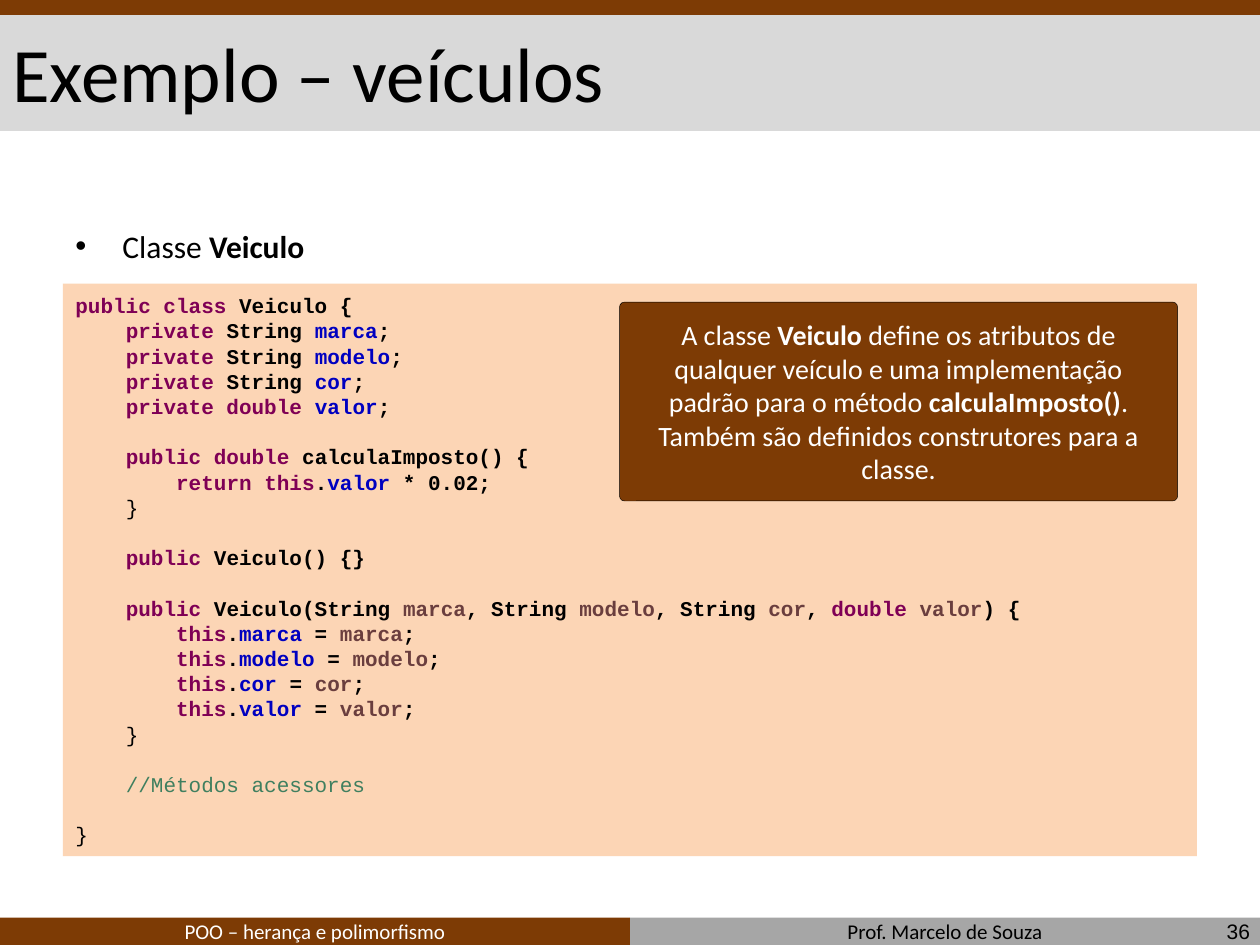
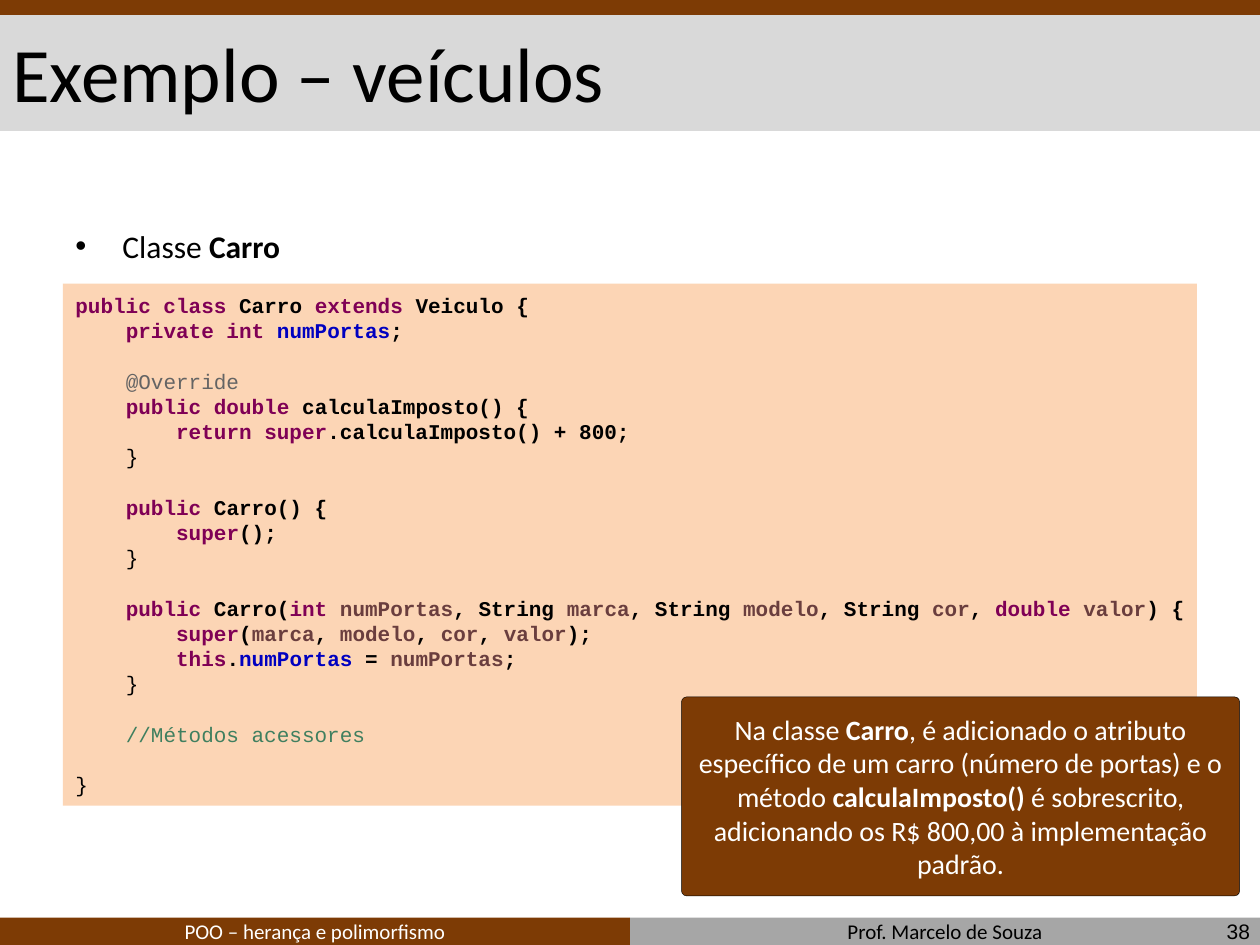
"""Builds two lecture slides that present the Java classes Veiculo and Carro."""
import pptx
import pptx.dml.color
import pptx.enum.shapes
import pptx.enum.text
import pptx.oxml
import pptx.oxml.ns
import pptx.util
from pptx.util import Cm

RGBColor = pptx.dml.color.RGBColor
SHAPES = pptx.enum.shapes.MSO_SHAPE
ALIGN = pptx.enum.text.PP_ALIGN
ANCHOR = pptx.enum.text.MSO_ANCHOR

BROWN = RGBColor(0x7D, 0x3B, 0x05)
LIGHT_GRAY = RGBColor(0xD9, 0xD9, 0xD9)
MID_GRAY = RGBColor(0xA6, 0xA6, 0xA6)
PEACH = RGBColor(0xFC, 0xD5, 0xB5)
BLACK = RGBColor(0, 0, 0)
WHITE = RGBColor(0xFF, 0xFF, 0xFF)
KEYWORD = RGBColor(0x7F, 0x00, 0x55)
FIELD = RGBColor(0x00, 0x00, 0xC0)
PARAMETER = RGBColor(0x6A, 0x3E, 0x3E)
COMMENT = RGBColor(0x3F, 0x7F, 0x5F)
ANNOTATION = RGBColor(0x64, 0x64, 0x64)

PAGE_WIDTH, PAGE_HEIGHT = 25.4, 19.05
HALF_WIDTH = PAGE_WIDTH / 2
CODE_CHAR_WIDTH = 7.2
CODE_LINE_HEIGHT = 14.4

EMPHASIS = {"*": {"bold": True}}
SYNTAX = {
    "#": {"color": KEYWORD},
    "_": {"color": FIELD},
    "~": {"color": PARAMETER},
    "%": {"color": COMMENT, "bold": False},
    "^": {"color": ANNOTATION, "bold": False},
    "!": {"bold": False},
}

VEICULO_CODE = """\
#public class# Veiculo {
    #private# String _marca_;
    #private# String _modelo_;
    #private# String _cor_;
    #private double# _valor_;

    #public double# calculaImposto() {
        #return this#._valor_ * 0.02;
    !}!

    #public# Veiculo() {}

    #public# Veiculo(String ~marca~, String ~modelo~, String ~cor~, #double# ~valor~) {
        #this#._marca_ = ~marca~;
        #this#._modelo_ = ~modelo~;
        #this#._cor_ = ~cor~;
        #this#._valor_ = ~valor~;
    !}!

    %//Métodos acessores%

!}!"""

CARRO_CODE = """\
#public class# Carro #extends# Veiculo {
    #private int# _numPortas_;

    ^@Override^
    #public double# calculaImposto() {
        #return super#.calculaImposto() + 800;
    !}!

    #public# Carro() {
        #super#();
    !}!

    #public# Carro(#int# ~numPortas~, String ~marca~, String ~modelo~, String ~cor~, #double# ~valor~) {
        #super#(~marca~, ~modelo~, ~cor~, ~valor~);
        #this#._numPortas_ = ~numPortas~;
    !}!

    %//Métodos acessores%

!}!"""

VEICULO_NOTE = (
    "A classe *Veiculo* define os atributos de qualquer veículo e uma "
    "implementação padrão para o método *calculaImposto()*. Também são "
    "definidos construtores para a classe."
)
CARRO_NOTE = (
    "Na classe *Carro*, é adicionado o atributo específico de um carro "
    "(número de portas) e o método *calculaImposto()* é sobrescrito, "
    "adicionando os R$ 800,00 à implementação padrão."
)


def split_runs(line, styles):
    """Yield (text, style) pairs of a line whose styled parts sit between markers."""
    active, piece = None, ""
    for char in line:
        if char in styles:
            if piece:
                yield piece, styles.get(active, {})
            active, piece = (None if active == char else char), ""
        else:
            piece += char
    if piece:
        yield piece, styles.get(active, {})


def write_text(shape, text, *, size, font="Calibri", color=BLACK, bold=False,
               align=ALIGN.LEFT, anchor=ANCHOR.MIDDLE, styles=EMPHASIS):
    """Fill a shape with text; leading spaces become indents and empty lines become gaps."""
    frame = shape.text_frame
    frame.word_wrap = True
    frame.vertical_anchor = anchor
    paragraph, gap = None, 0
    for line in text.split("\n"):
        content = line.lstrip()
        if not content:
            gap += CODE_LINE_HEIGHT
            continue
        paragraph = frame.add_paragraph() if paragraph else frame.paragraphs[0]
        paragraph.alignment = align
        if gap:
            paragraph.space_before = pptx.util.Pt(gap)
        gap = 0
        indent = pptx.util.Pt((len(line) - len(content)) * CODE_CHAR_WIDTH)
        if indent:
            paragraph._p.get_or_add_pPr().set("marL", str(indent))
        for piece, style in split_runs(content, styles):
            run = paragraph.add_run()
            run.text = piece
            run.font.name = font
            run.font.size = pptx.util.Pt(size)
            run.font.bold = style.get("bold", bold)
            run.font.color.rgb = style.get("color", color)


def add_box(slide, left, top, width, height, fill, kind=SHAPES.RECTANGLE):
    """Add a filled shape without outline or shadow."""
    box = slide.shapes.add_shape(kind, Cm(left), Cm(top), Cm(width), Cm(height))
    box.shadow.inherit = False
    box.fill.solid()
    box.fill.fore_color.rgb = fill
    box.line.fill.background()
    return box


def add_label(slide, left, top, width, height, text, **text_format):
    """Add a text box with formatted text."""
    label = slide.shapes.add_textbox(Cm(left), Cm(top), Cm(width), Cm(height))
    write_text(label, text, **text_format)
    return label


def add_frame(slide, title, number):
    """Add the bands, footers, title and slide number that all slides share."""
    add_box(slide, HALF_WIDTH, 18.5, HALF_WIDTH, 0.6, MID_GRAY)
    add_box(slide, 0, 18.5, HALF_WIDTH, 0.6, BROWN)
    add_box(slide, 0, 0.28, PAGE_WIDTH, 2.36, LIGHT_GRAY)
    add_box(slide, 0, 0, PAGE_WIDTH, 0.3, BROWN)
    footers = (("POO – herança e polimorfismo", WHITE), ("Prof. Marcelo de Souza", BLACK))
    for column, (footer, color) in enumerate(footers):
        add_label(slide, column * HALF_WIDTH, 18.39, HALF_WIDTH, 0.76, footer, size=12,
                  color=color, align=ALIGN.CENTER, anchor=ANCHOR.BOTTOM)
    add_label(slide, 0, 0.3, PAGE_WIDTH, 2.31, title, size=44)
    add_label(slide, 19.53, 18.36, 5.92, 0.84, str(number), size=12, font="Arial",
              align=ALIGN.RIGHT)


def add_topic(slide, text):
    """Add the bulleted line above the code."""
    topic = add_label(slide, 1.27, 4.45, 22.86, 13.33, text, size=18,
                      align=ALIGN.JUSTIFY, anchor=ANCHOR.TOP)
    properties = topic.text_frame.paragraphs[0]._p.get_or_add_pPr()
    hanging = Cm(0.95)
    properties.set("marL", str(hanging))
    properties.set("indent", str(-hanging))
    namespace = pptx.oxml.ns.nsdecls("a")
    properties.append(pptx.oxml.parse_xml(f'<a:buFont {namespace} typeface="Arial"/>'))
    properties.append(pptx.oxml.parse_xml(f'<a:buChar {namespace} char="•"/>'))


def add_code(slide, code, height):
    """Add a code listing on a peach panel."""
    listing = add_box(slide, 1.27, 5.72, 22.86, height, PEACH)
    write_text(listing, code, size=12, font="Courier New", bold=True, styles=SYNTAX)


def add_callout(slide, left, top, text):
    """Add the rounded explanation box."""
    callout = add_box(slide, left, top, 11.25, 4.01, BROWN, SHAPES.ROUNDED_RECTANGLE)
    callout.adjustments[0] = 0.025
    callout.line.color.rgb = BLACK
    callout.line.width = pptx.util.Pt(0.25)
    write_text(callout, text, size=16, color=WHITE, align=ALIGN.CENTER)


def add_class_slide(deck, number, class_name, code, code_height, note, note_place):
    """Add one slide that shows a class and explains it."""
    slide = deck.slides.add_slide(deck.slide_layouts[6])
    add_frame(slide, "Exemplo – veículos", number)
    add_topic(slide, f"Classe *{class_name}*")
    add_code(slide, code, code_height)
    add_callout(slide, *note_place, note)


def main():
    """Build and save the deck."""
    deck = pptx.Presentation()
    deck.slide_width, deck.slide_height = Cm(PAGE_WIDTH), Cm(PAGE_HEIGHT)
    add_class_slide(deck, 36, "Veiculo", VEICULO_CODE, 11.54, VEICULO_NOTE, (12.49, 6.09))
    add_class_slide(deck, 38, "Carro", CARRO_CODE, 10.52, CARRO_NOTE, (13.74, 14.05))
    deck.save("out.pptx")


main()
